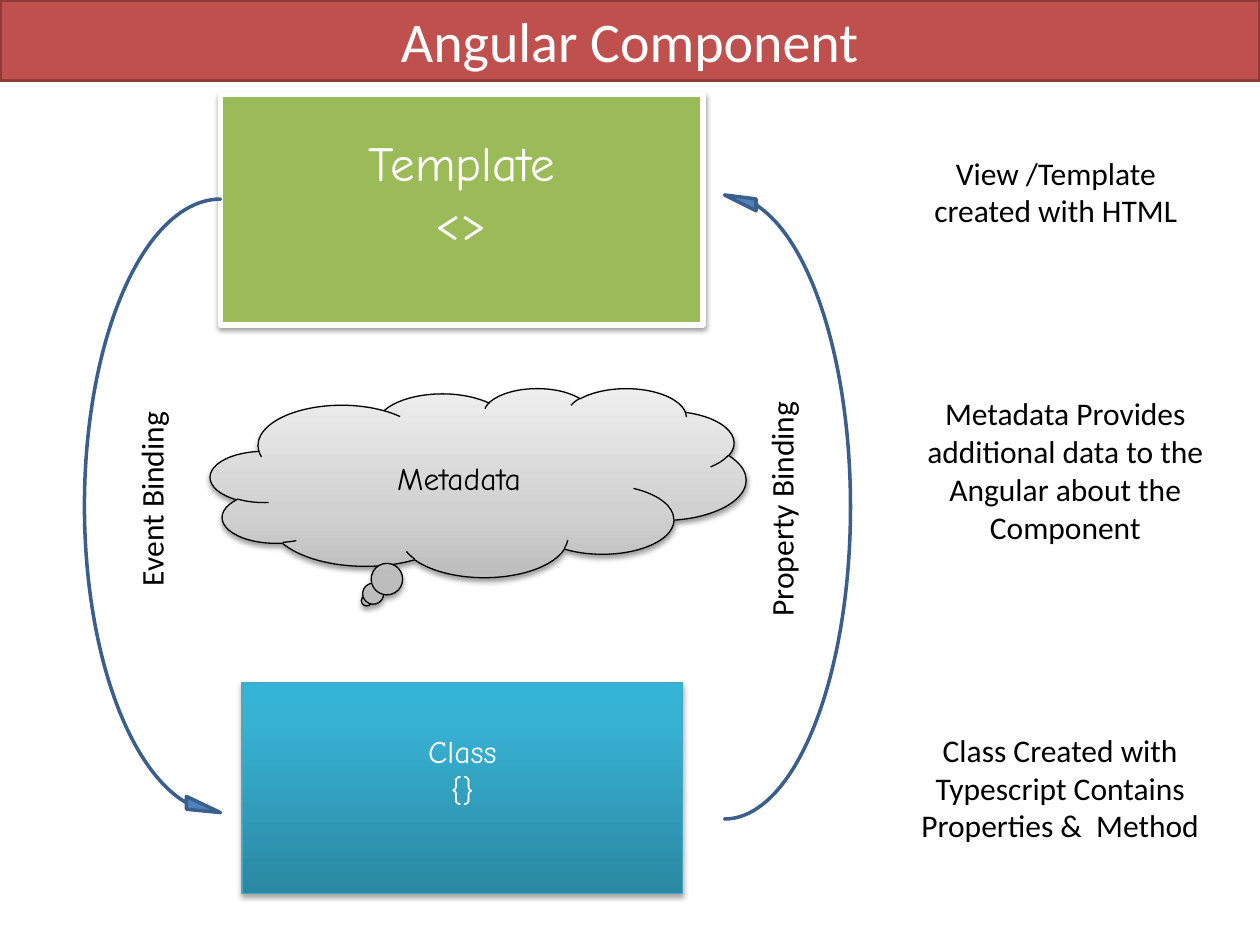
from dataclasses import dataclass

from lxml import etree
from pptx import Presentation
from pptx.dml.color import RGBColor
from pptx.enum.shapes import MSO_SHAPE
from pptx.enum.text import MSO_ANCHOR, PP_ALIGN
from pptx.oxml import parse_xml
from pptx.oxml.ns import nsdecls, qn
from pptx.util import Inches, Pt

RECTANGLE = MSO_SHAPE.RECTANGLE
CLOUD = MSO_SHAPE.CLOUD_CALLOUT
CURVED_ARROW = MSO_SHAPE.CURVED_RIGHT_ARROW
CENTER = PP_ALIGN.CENTER
TOP, MIDDLE = MSO_ANCHOR.TOP, MSO_ANCHOR.MIDDLE


@dataclass(frozen=True)
class Theme:
    white: str = "FFFFFF"
    black: str = "000000"
    title_fill: str = "C0504D"
    title_line: str = "8E3B39"
    template_fill: str = "9BBB59"
    class_line: str = "46AAC5"
    class_stops: tuple = ((0, "2A88A2"), (80, "37B1D2"), (100, "34B4D6"))
    cloud_stops: tuple = ((0, "BDBDBD"), (35, "D1D1D1"), (100, "EEEEEE"))
    arrow_fill: str = "4F81BD"
    arrow_line: str = "3A5F8C"
    body_font: str = "Calibri"
    comic_font: str = "Comic Neue"
    title_size: int = 32
    heading_size: int = 28
    body_size: int = 18


THEME = Theme()


def write_text(shape, lines, font, size, color, anchor=TOP, bottom=0.05):
    frame = shape.text_frame
    frame.word_wrap = True
    frame.vertical_anchor = anchor
    frame.margin_bottom = Inches(bottom)
    for index, line in enumerate(lines):
        para = frame.add_paragraph() if index else frame.paragraphs[0]
        para.text = line
        para.alignment = CENTER
        para.font.name = font
        para.font.size = Pt(size)
        para.font.color.rgb = RGBColor.from_string(color)


def add_shape(page, kind, box, fill, line, width):
    shape = page.shapes.add_shape(kind, *map(Inches, box))
    shape.shadow.inherit = False
    shape.fill.solid()
    if isinstance(fill, str):
        shape.fill.fore_color.rgb = RGBColor.from_string(fill)
    else:
        set_gradient(shape, fill)
    shape.line.color.rgb = RGBColor.from_string(line)
    shape.line.width = Pt(width)
    return shape


def set_gradient(shape, stops):
    gradient = parse_xml(f'<a:gradFill {nsdecls("a")} rotWithShape="1"><a:gsLst/>'
                         '<a:lin ang="16200000" scaled="0"/></a:gradFill>')
    for position, color in stops:
        stop = etree.SubElement(gradient[0], qn("a:gs"), pos=str(position * 1000))
        etree.SubElement(stop, qn("a:srgbClr"), val=color)
    properties = shape._element.spPr
    properties.replace(properties.find(qn("a:solidFill")), gradient)


def add_shadow(shape, opacity, distance):
    effects = shape._element.spPr.find(qn("a:effectLst"))
    shadow = etree.SubElement(effects, qn("a:outerShdw"), blurRad=str(Pt(3.1)),
                              dist=str(Pt(distance)), dir="5400000", rotWithShape="0")
    color = etree.SubElement(shadow, qn("a:srgbClr"), val=THEME.black)
    etree.SubElement(color, qn("a:alpha"), val=str(opacity * 1000))


def add_title(page, box):
    bar = add_shape(page, RECTANGLE, box, THEME.title_fill, THEME.title_line, 2)
    write_text(bar, ["Angular Component"], THEME.body_font, THEME.title_size, THEME.white)


def add_template(page, box):
    panel = add_shape(page, RECTANGLE, box, THEME.template_fill, THEME.white, 3)
    add_shadow(panel, 38, 1.6)
    write_text(panel, ["Template", "<>"], THEME.comic_font, THEME.heading_size,
               THEME.white, MIDDLE, 0.34)


def add_class(page, box):
    panel = add_shape(page, RECTANGLE, box, THEME.class_stops, THEME.class_line, 0.75)
    add_shadow(panel, 35, 1.8)
    write_text(panel, ["Class\v{}"], THEME.comic_font, THEME.body_size,
               THEME.white, MIDDLE, 0.34)


def add_metadata(page, box):
    cloud = add_shape(page, CLOUD, box, THEME.cloud_stops, THEME.black, 0.75)
    add_shadow(cloud, 38, 1.6)
    write_text(cloud, ["Metadata"], THEME.comic_font, THEME.body_size, THEME.black, MIDDLE)


def add_label(page, box, text, rotation=0):
    label = page.shapes.add_textbox(*map(Inches, box))
    label.rotation = rotation
    write_text(label, [text], THEME.body_font, THEME.body_size, THEME.black)


def add_binding(page, box, rotation, text, label_center):
    arrow = add_shape(page, CURVED_ARROW, box, THEME.arrow_fill, THEME.arrow_line, 2)
    arrow.rotation = rotation
    for index, value in enumerate((0, 0.094, 0.25)):
        arrow.adjustments[index] = value
    left, top, _, _ = box
    across, down = label_center
    width, height = 3.08, 0.4
    label_box = (left + across - width / 2, top + down - height / 2, width, height)
    add_label(page, label_box, text, 270)


def build_component_slide(deck):
    page = deck.slides.add_slide(deck.slide_layouts[6])
    add_template(page, (1.75, 0.75, 3.83, 1.83))
    add_class(page, (1.92, 5.42, 3.5, 1.67))
    add_metadata(page, (1.67, 3.08, 4.25, 1.5))
    add_binding(page, (0.67, 1.58, 1.08, 4.92), 0, "Event Binding", (0.53, 2.38))
    add_binding(page, (5.75, 1.5, 1, 5), 180, "Property Binding", (0.45, 2.54))
    add_title(page, (0, 0, 10, 0.64))
    notes = (
        ((7.17, 1.17, 2.42, 0.71), "View /Template created with HTML"),
        ((7.17, 3.08, 2.57, 1.31),
         "Metadata Provides additional data to the Angular about the Component"),
        ((7.08, 5.75, 2.67, 1.31),
         "Class Created with Typescript Contains Properties &  Method"),
    )
    for box, text in notes:
        add_label(page, box, text)


deck = Presentation()
deck.slide_width, deck.slide_height = Inches(10), Inches(7.5)
build_component_slide(deck)
deck.save("out.pptx")
